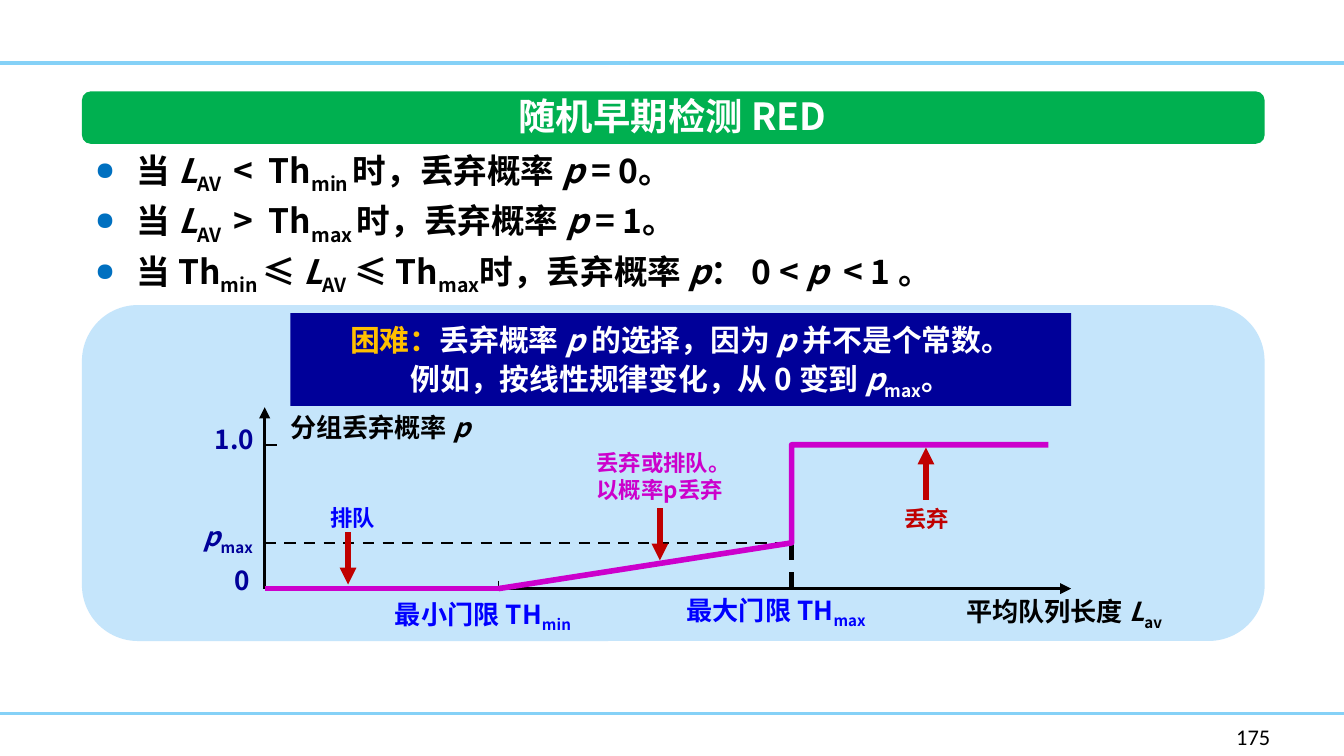
import pptx
import pptx.util
import pptx.dml.color
import pptx.enum.dml
import pptx.enum.shapes
import pptx.enum.text
import pptx.oxml
import pptx.oxml.ns

Inches, Pt = pptx.util.Inches, pptx.util.Pt
RGBColor = pptx.dml.color.RGBColor
ALIGN = pptx.enum.text.PP_ALIGN
ANCHOR = pptx.enum.text.MSO_ANCHOR
SHAPE = pptx.enum.shapes.MSO_SHAPE
qn = pptx.oxml.ns.qn

BLACK = RGBColor(0x00, 0x00, 0x00)
WHITE = RGBColor(0xFF, 0xFF, 0xFF)
SKY = RGBColor(0x85, 0xD1, 0xF7)
PALE = RGBColor(0xC5, 0xE5, 0xFB)
GREEN = RGBColor(0x00, 0xB0, 0x50)
BULLET = RGBColor(0x00, 0x70, 0xC0)
NAVY = RGBColor(0x00, 0x00, 0x99)
BLUE = RGBColor(0x00, 0x00, 0xFF)
GOLD = RGBColor(0xFF, 0xC0, 0x00)
MAGENTA = RGBColor(0xCC, 0x00, 0xCC)
RED = RGBColor(0xC0, 0x00, 0x00)

CJK = "Noto Sans CJK SC"
SUBSCRIPT_ROOM = 2.5  # extra points for a line that holds a subscript


def xml_child(parent, tag, **attributes):
    child = parent.makeelement(qn(tag), attributes)
    parent.append(child)
    return child


def write(frame, text, size=14, color=BLACK, bold=True, font=CJK, align=ALIGN.LEFT,
          spacing=None, wrap=True, anchor=ANCHOR.TOP, bullet=None):
    """Fill a text frame; "|" parts runs, led by / italic, ~ subscript or ! gold."""
    frame.word_wrap = wrap
    frame.vertical_anchor = anchor
    for index, line in enumerate(text.split("\n")):
        paragraph = frame.paragraphs[0] if index == 0 else frame.add_paragraph()
        paragraph.alignment = align
        room = SUBSCRIPT_ROOM if "~" in line and bullet is None else 0
        paragraph.line_spacing = Pt((spacing or size * 1.2) + room)
        if bullet is not None:
            props = paragraph._p.get_or_add_pPr()
            props.set("marL", str(Inches(0.31)))
            props.set("indent", str(-Inches(0.31)))
            bullet_color = xml_child(props, "a:buClr")
            xml_child(bullet_color, "a:srgbClr", val=str(bullet))
            xml_child(props, "a:buSzPct", val="75000")
            xml_child(props, "a:buChar", char="●")
        for part in line.split("|"):
            mark = part[0] if part[0] in "/~!" else ""
            run = paragraph.add_run()
            run.text = part[len(mark):]
            run.font.size = Pt(size)
            run.font.bold = bold
            run.font.italic = mark == "/"
            run.font.name = font
            run.font.color.rgb = GOLD if mark == "!" else color
            run_props = run._r.get_or_add_rPr()
            xml_child(run_props, "a:ea", typeface=font)
            if mark == "~":
                run_props.set("baseline", "-25000")


class Board:
    def __init__(self, slide):
        self.slide = slide
        self.shapes = slide.shapes

    def title(self, text, left, top, width, height, **style):
        title = self.shapes.title
        title.left, title.top = Inches(left), Inches(top)
        title.width, title.height = Inches(width), Inches(height)
        write(title.text_frame, text, **style)
        title.text_frame.auto_size = pptx.enum.text.MSO_AUTO_SIZE.NONE
        self.shapes._spTree.append(title._element)  # bring in front of its bar

    def block(self, kind, left, top, width, height, fill):
        block = self.shapes.add_shape(kind, Inches(left), Inches(top),
                                      Inches(width), Inches(height))
        block.shadow.inherit = False
        block.fill.solid()
        block.fill.fore_color.rgb = fill
        block.line.fill.background()
        return block

    def label(self, text, left, top, width, height, **style):
        box = self.shapes.add_textbox(Inches(left), Inches(top),
                                      Inches(width), Inches(height))
        write(box.text_frame, text, **style)

    def line(self, x1, y1, x2, y2, color=BLACK, weight=1.5, dashed=False, arrow=False):
        line = self.shapes.add_connector(pptx.enum.shapes.MSO_CONNECTOR.STRAIGHT,
                                         Inches(x1), Inches(y1), Inches(x2), Inches(y2))
        line.line.color.rgb = color
        line.line.width = Pt(weight)
        if dashed:
            line.line.dash_style = pptx.enum.dml.MSO_LINE.DASH
        if arrow:
            xml_child(line.line._get_or_add_ln(), "a:tailEnd", type="triangle")
        xml_child(line._element.spPr, "a:effectLst")

    def curve(self, points, color, weight):
        start, *others = [(Inches(x), Inches(y)) for x, y in points]
        builder = self.shapes.build_freeform(*start)
        builder.add_line_segments(others, close=False)
        curve = builder.convert_to_shape()
        curve.shadow.inherit = False
        curve.fill.background()
        curve.line.color.rgb = color
        curve.line.width = Pt(weight)


def main():
    deck = pptx.Presentation()
    deck.slide_width = Inches(10)
    deck.slide_height = deck.slide_width * 9 // 16
    board = Board(deck.slides.add_slide(deck.slide_layouts[5]))

    for rule_y in (0.47, 5.31):
        board.line(0, rule_y, 10, rule_y, SKY, 2)
    board.block(SHAPE.ROUNDED_RECTANGLE, 0.61, 2.27, 8.8, 2.5, PALE)
    board.block(SHAPE.ROUNDED_RECTANGLE, 0.61, 0.68, 8.8, 0.39, GREEN)
    board.title("随机早期检测 RED", 3.7, 0.64, 2.61, 0.44, size=20, color=WHITE,
                align=ALIGN.CENTER, wrap=False)
    board.label("当 |/L|~AV | <  Th|~min |时，丢弃概率 |/p| = 0。\n"
                "当 |/L|~AV | >  Th|~max |时，丢弃概率 |/p| = 1。\n"
                "当 Th|~min |≤ |/L|~AV| ≤ Th|~max|时，丢弃概率 |/p|： 0 < |/p | < 1 。",
                0.61, 1.03, 8.95, 1.24, size=18, spacing=27, bullet=BULLET)

    difficulty = board.block(SHAPE.RECTANGLE, 2.16, 2.33, 5.81, 0.69, NAVY)
    write(difficulty.text_frame,
          "!困难：|丢弃概率 |/p |的选择，因为 |/p |并不是个常数。\n"
          "例如，按线性规律变化，从 0 变到 |/p|~max|。",
          size=16, color=WHITE, align=ALIGN.CENTER, spacing=21, anchor=ANCHOR.MIDDLE)

    # Chart coordinates: thresholds along x, probabilities along y
    origin_x, min_x, max_x, end_x = 1.97, 3.71, 5.89, 7.8
    zero_y, pmax_y, one_y = 4.38, 4.04, 3.31
    board.line(origin_x, zero_y, 7.97, zero_y, arrow=True)
    board.line(origin_x, zero_y, origin_x, 3.03, arrow=True)
    board.line(max_x, pmax_y, max_x, zero_y, weight=2.25, dashed=True)
    board.line(min_x, zero_y - 0.06, min_x, zero_y, weight=0.75)
    board.line(origin_x, one_y, origin_x + 0.09, one_y, weight=0.75)
    board.line(origin_x, pmax_y, max_x, pmax_y, dashed=True)
    board.curve([(min_x, zero_y), (max_x, pmax_y), (max_x, one_y), (end_x, one_y)],
                MAGENTA, 3)
    board.line(origin_x, zero_y, min_x, zero_y, MAGENTA, 3)

    board.label("最小门限 TH|~min", 2.84, 4.4, 1.58, 0.34, color=BLUE, wrap=False)
    board.label("最大门限 TH|~max", 5.01, 4.37, 1.61, 0.34, color=BLUE, wrap=False)
    board.label("平均队列长度 |/L|~av", 7.09, 4.38, 1.73, 0.34)
    board.label("分组丢弃概率 |/p", 2.06, 3.01, 1.64, 0.34)
    board.label("1.0", 1.49, 3.1, 0.5, 0.34, color=NAVY, align=ALIGN.RIGHT, wrap=False)
    board.label("/p|~max", 1.37, 3.82, 0.61, 0.34, color=NAVY, align=ALIGN.RIGHT,
                wrap=False)
    board.label("0", 1.65, 4.15, 0.3, 0.31, color=NAVY, wrap=False)

    board.label("排队", 2.36, 3.7, 0.76, 0.3, size=12, color=BLUE)
    board.label("丢弃或排队。以概率p丢弃", 4.34, 3.29, 1.17, 0.5, size=12, color=MAGENTA)
    board.label("丢弃", 6.63, 3.71, 1.17, 0.3, size=12, color=RED)
    for x, start_y, tip_y in ((2.59, 3.96, 4.35), (4.91, 3.78, 4.17), (6.89, 3.72, 3.33)):
        board.line(x, start_y, x, tip_y, RED, 3, arrow=True)

    board.label("175", 9.1, 5.33, 0.76, 0.3, size=12, bold=False, font="Calibri")
    deck.save("out.pptx")


if __name__ == "__main__":
    main()
